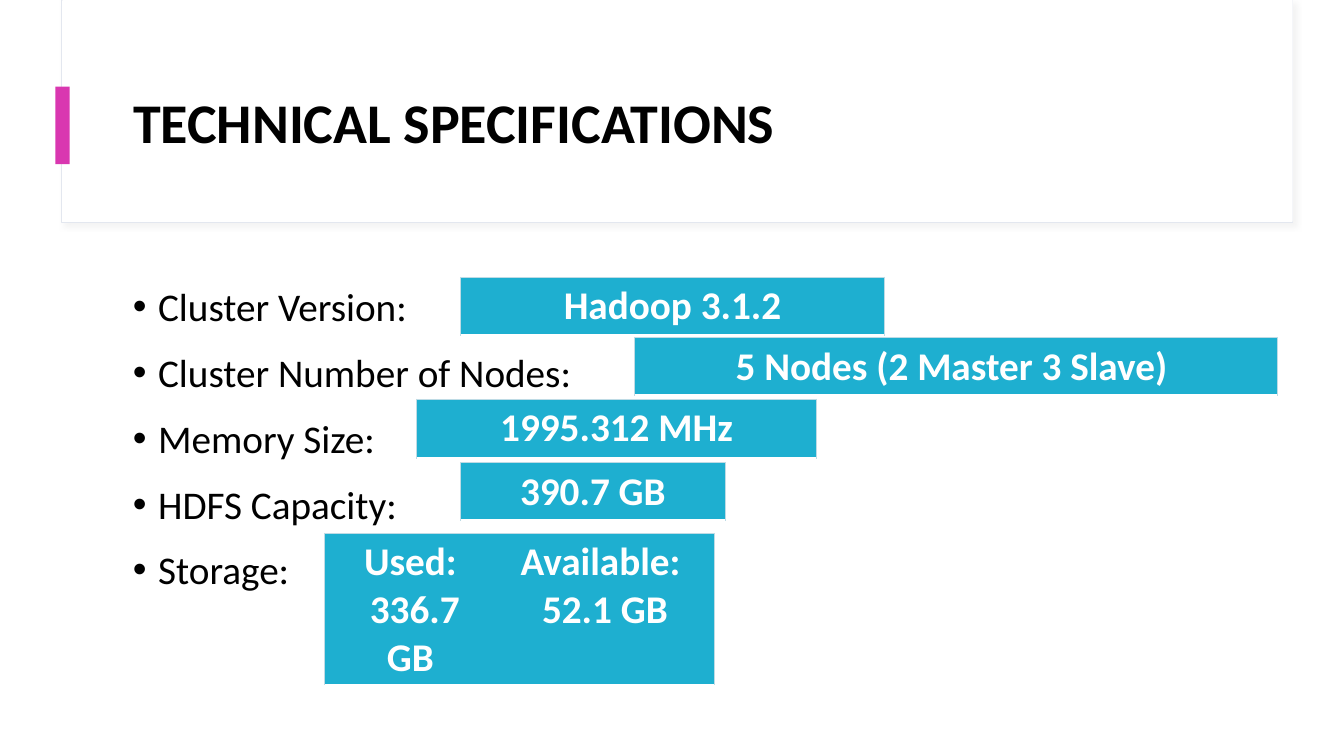
from lxml import etree
from pptx import Presentation
from pptx.dml.color import RGBColor
from pptx.enum.shapes import MSO_SHAPE as Shape
from pptx.enum.text import MSO_ANCHOR as Anchor, PP_ALIGN as Align
from pptx.oxml import parse_xml
from pptx.oxml.ns import nsdecls, qn
from pptx.util import Inches, Pt

BLACK, WHITE, TEAL, PINK = "000000", "FFFFFF", "1EAFD0", "D937B0"
PANEL_EDGE, CELL_EDGE = "E3E7EF", "BEDBE5"


def rgb(value):
    return RGBColor.from_string(value)


def write_lines(frame, lines, paragraph_format, size, color, bold):
    """Fill a text frame with one formatted paragraph per line."""
    for index, line in enumerate(lines):
        paragraph = frame.paragraphs[0] if index == 0 else frame.add_paragraph()
        for name, value in paragraph_format.items():
            setattr(paragraph, name, value)
        run = paragraph.add_run()
        run.text = line
        for name, value in {"name": "Calibri", "size": Pt(size), "bold": bold}.items():
            setattr(run.font, name, value)
        run.font.color.rgb = rgb(color)


prs = Presentation()
prs.slide_width, prs.slide_height = Inches(13.33), Inches(7.5)
slide = prs.slides.add_slide(prs.slide_layouts[5])
shapes = slide.shapes

# Header panel: shadowed frame, white face, accent bar
for left, top, width, height, fill, edge in [
    (0.61, 0, 12.21, 2.21, WHITE, PANEL_EDGE),
    (0.62, 0, 12.2, 2.2, WHITE, None),
    (0.55, 0.86, 0.14, 0.77, PINK, None),
]:
    panel = shapes.add_shape(Shape.RECTANGLE, Inches(left), Inches(top), Inches(width), Inches(height))
    panel.shadow.inherit = False
    panel.fill.solid()
    panel.fill.fore_color.rgb = rgb(fill)
    if edge:
        panel.line.color.rgb = rgb(edge)
        panel.line.width = Pt(0.75)
        effects = panel.element.spPr.find(qn("a:effectLst"))
        effects.append(parse_xml(
            f'<a:outerShdw {nsdecls("a")} blurRad="{Pt(4)}" dist="{Pt(3)}" dir="2700000" algn="tl" '
            'rotWithShape="0"><a:srgbClr val="D9D9D9"><a:alpha val="30000"/></a:srgbClr></a:outerShdw>'))
    else:
        panel.line.fill.background()

# Title, brought in front of the panel
title = shapes.title
title.left, title.top, title.width, title.height = Inches(1.22), Inches(0.6), Inches(11.12), Inches(1.29)
title.text_frame.vertical_anchor = Anchor.MIDDLE
write_lines(title.text_frame, ["TECHNICAL SPECIFICATIONS"],
            {"alignment": Align.LEFT, "line_spacing": 0.9}, 40, BLACK, True)
shapes.element.append(title.element)

# Bulleted labels
labels = shapes.add_textbox(Inches(1.22), Inches(2.71), Inches(11.12), Inches(4.04)).text_frame
labels.word_wrap = True
write_lines(labels,
            ["Cluster Version:", "Cluster Number of Nodes:", "Memory Size:", "HDFS Capacity:", "Storage:"],
            {"line_spacing": 1.1, "space_before": Pt(10)}, 28, BLACK, False)
for paragraph in labels.paragraphs:
    props = paragraph._p.get_or_add_pPr()
    props.set("marL", str(Inches(0.25)))
    props.set("indent", str(-Inches(0.25)))
    etree.SubElement(props, qn("a:buFont")).set("typeface", "Arial")
    etree.SubElement(props, qn("a:buChar")).set("char", "•")

# Value tables: left, top, height, and (width, lines) for each cell
for left, top, height, cells in [
    (3.22, 5.29, 1.5, [(1.7, ["Used:", " 336.7 GB"]), (2.16, ["Available: ", "52.1 GB"])]),
    (4.57, 4.59, 0.57, [(2.62, ["390.7 GB"])]),
    (4.57, 2.75, 0.57, [(4.2, ["Hadoop 3.1.2"])]),
    (6.29, 3.35, 0.57, [(6.38, ["5 Nodes (2 Master 3 Slave) "])]),
    (4.13, 3.96, 0.58, [(3.97, ["1995.312 MHz"])]),
]:
    total_width = sum(width for width, lines in cells)
    table = shapes.add_table(1, len(cells), Inches(left), Inches(top),
                             Inches(total_width), Inches(height)).table
    table.first_row = table.horz_banding = False
    for column, (width, lines) in enumerate(cells):
        table.columns[column].width = Inches(width)
        cell = table.cell(0, column)
        write_lines(cell.text_frame, lines, {"alignment": Align.CENTER}, 28, WHITE, True)
        borders = {
            "lnL": (CELL_EDGE, 0.5) if column == 0 else None,
            "lnR": (CELL_EDGE, 0.5) if column == len(cells) - 1 else None,
            "lnT": (CELL_EDGE, 0.5),
            "lnB": (WHITE, 1.5),
        }
        cell_props = cell._tc.get_or_add_tcPr()
        for side, border in borders.items():
            line = etree.SubElement(cell_props, qn(f"a:{side}"))
            if border:
                color, weight = border
                line.set("w", str(Pt(weight)))
                fill = etree.SubElement(line, qn("a:solidFill"))
                etree.SubElement(fill, qn("a:srgbClr")).set("val", color)
            else:
                etree.SubElement(line, qn("a:noFill"))
        cell.fill.solid()
        cell.fill.fore_color.rgb = rgb(TEAL)

prs.save("out.pptx")
